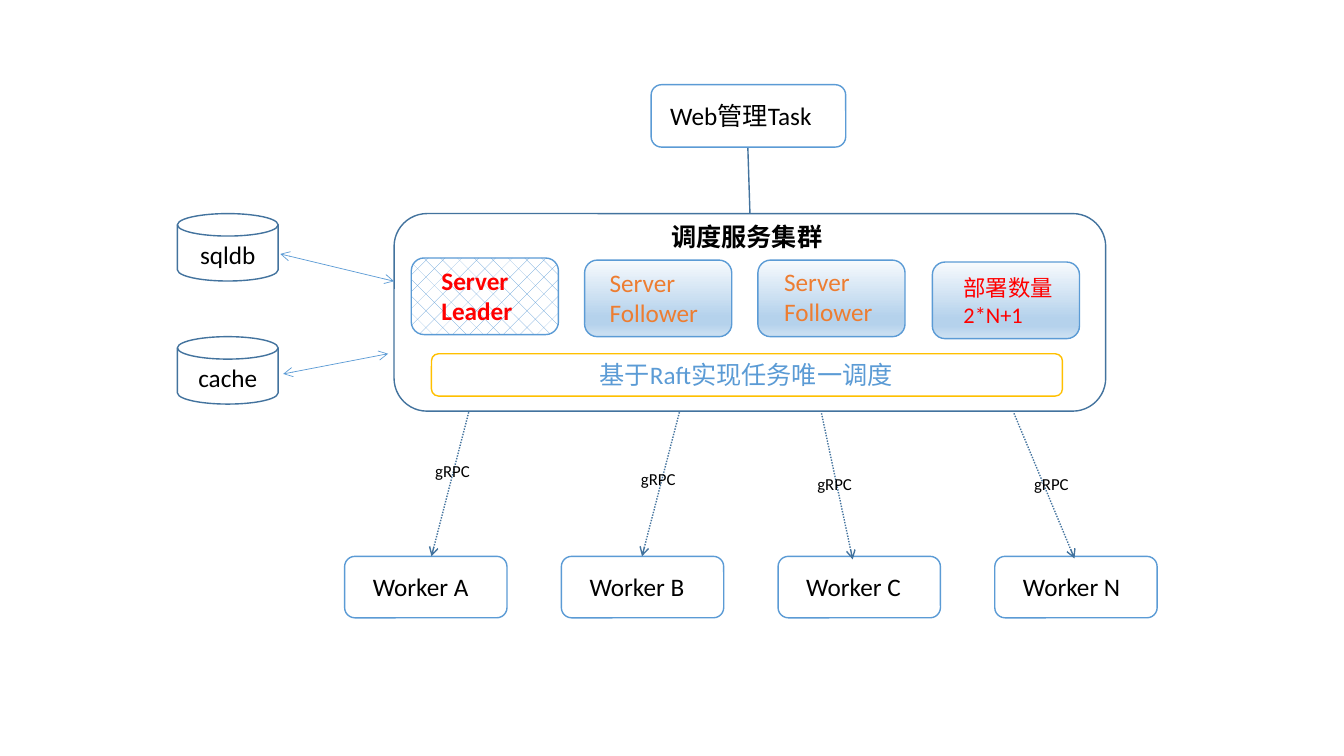
from lxml import etree
from pptx import Presentation
from pptx.dml.color import RGBColor
from pptx.enum.dml import MSO_LINE, MSO_PATTERN
from pptx.enum.shapes import MSO_CONNECTOR, MSO_SHAPE
from pptx.enum.text import PP_ALIGN
from pptx.oxml.ns import qn
from pptx.util import Pt

ROUNDED = MSO_SHAPE.ROUNDED_RECTANGLE
CYLINDER = MSO_SHAPE.FLOWCHART_MAGNETIC_DISK
STRAIGHT = MSO_CONNECTOR.STRAIGHT
DOTTED = MSO_LINE.ROUND_DOT
DIAMONDS = MSO_PATTERN.DOTTED_DIAMOND
CENTER = PP_ALIGN.CENTER

BLACK = RGBColor(0x00, 0x00, 0x00)
WHITE = RGBColor(0xFF, 0xFF, 0xFF)
RED = RGBColor(0xFF, 0x00, 0x00)
ORANGE = RGBColor(0xED, 0x7D, 0x31)
GOLD = RGBColor(0xFF, 0xC0, 0x00)
BLUE = RGBColor(0x5B, 0x9B, 0xD5)
DARK_BLUE = RGBColor(0x43, 0x73, 0x9E)
PALE_BLUE = RGBColor(0xF7, 0xFA, 0xFD)
MID_BLUE = RGBColor(0xB5, 0xD2, 0xEC)
SOFT_BLUE = RGBColor(0xCE, 0xE1, 0xF2)
SERVER_GRADIENT = [(0, PALE_BLUE), (74, MID_BLUE), (83, MID_BLUE), (100, SOFT_BLUE)]


class Diagram:
    """Holds the style and the slide being drawn; lengths are in points."""

    font = "Calibri"

    def __init__(self, slide):
        """Keep the slide that receives the elements."""
        self.slide = slide

    def outline(self, kind, left, top, width, height, color=BLUE):
        """Add an unfilled preset shape and return it."""
        shape = self.slide.shapes.add_shape(
            kind, Pt(left), Pt(top), Pt(width), Pt(height))
        shape.shadow.inherit = False
        shape.fill.background()
        shape.line.color.rgb = color
        shape.line.width = Pt(1)
        return shape

    def gradient(self, shape, stops):
        """Fill a shape from top to bottom with (percent, color) stops."""
        shape.fill.gradient()
        shape.fill.gradient_angle = 270
        stop_list = shape._element.spPr.find(qn("a:gradFill")).find(qn("a:gsLst"))
        for stop in list(stop_list):
            stop_list.remove(stop)
        for percent, color in stops:
            stop = etree.SubElement(stop_list, qn("a:gs"), pos=str(percent * 1000))
            etree.SubElement(stop, qn("a:srgbClr"), val=str(color))

    def hatch(self, shape):
        """Fill a shape with blue dotted diamonds on white."""
        shape.fill.patterned()
        shape.fill.pattern = DIAMONDS
        shape.fill.fore_color.rgb = BLUE
        shape.fill.back_color.rgb = WHITE

    def text(self, left, top, width, height, lines, size=18, color=BLACK,
             bold=False, align=None):
        """Add a text box with one paragraph per line."""
        box = self.slide.shapes.add_textbox(
            Pt(left), Pt(top), Pt(width), Pt(height))
        frame = box.text_frame
        frame.word_wrap = False
        for index, line in enumerate(lines):
            paragraph = frame.add_paragraph() if index else frame.paragraphs[0]
            paragraph.alignment = align
            run = paragraph.add_run()
            run.text = line
            run.font.name = self.font
            run.font.size = Pt(size)
            run.font.bold = bold
            run.font.color.rgb = color

    def line(self, start, end, color=DARK_BLUE, width=1, dash=None, arrows=()):
        """Add a straight line with arrowheads at the named ends."""
        connector = self.slide.shapes.add_connector(
            STRAIGHT, *[Pt(value) for value in (*start, *end)])
        connector.line.color.rgb = color
        connector.line.width = Pt(width)
        if dash:
            connector.line.dash_style = dash
        properties = connector._element.spPr
        for arrow in arrows:
            etree.SubElement(properties.find(qn("a:ln")), qn(arrow), type="arrow")
        etree.SubElement(properties, qn("a:effectLst"))


def draw_cluster(diagram):
    """Draw the scheduling cluster with its servers and the Raft banner."""
    diagram.outline(ROUNDED, 281.5, 152.6, 508.3, 141.1, DARK_BLUE)
    diagram.text(472.3, 154.8, 122.4, 28.8, ["调度服务集群"], bold=True)
    diagram.outline(ROUNDED, 308.2, 252.7, 450.7, 30.2, GOLD)
    diagram.text(421.2, 253.4, 232.6, 28.8, ["基于Raft实现任务唯一调度"], color=BLUE)

    follower = ["Server", "Follower"]
    servers = [
        (293.8, 184.3, 308.2, 185.8, ["Server", "Leader"], 18, RED, True),
        (417.6, 185.8, 428.4, 187.2, follower, 18, ORANGE, False),
        (541.4, 185.8, 553, 186.5, follower, 18, ORANGE, False),
        (666, 187.2, 681.1, 192.2, ["部署数量", "2*N+1"], 16, RED, False),
    ]
    for left, top, text_left, text_top, lines, size, color, leader in servers:
        server = diagram.outline(ROUNDED, left, top, 105.1, 54.7)
        if leader:
            diagram.hatch(server)
        else:
            diagram.gradient(server, SERVER_GRADIENT)
        diagram.text(text_left, text_top, 82.8, 51, lines, size, color, leader)


def draw_stores(diagram):
    """Draw the two data stores and their links to the cluster."""
    stores = [
        ("sqldb", 152.6, (200.2, 181.4), (281.5, 200.9)),
        ("cache", 240.5, (202.3, 267.1), (277.2, 252.7)),
    ]
    for name, top, start, end in stores:
        diagram.outline(CYLINDER, 126.7, top, 72, 48.2, DARK_BLUE)
        diagram.text(126.7, top + 15.1, 72, 28.8, [name], align=CENTER)
        diagram.line(start, end, BLUE, 0.5, arrows=("a:headEnd", "a:tailEnd"))


def draw_workers(diagram):
    """Draw the evenly spaced workers and the gRPC calls that reach them."""
    calls = [
        ("A", (334.8, 294.5), (308.2, 397.4), (303.8, 325.4)),
        ("B", (485.3, 294.5), (458.6, 397.4), (450.7, 331.2)),
        ("C", (586.8, 295.2), (609.1, 399.6), (576.7, 334.8)),
        ("N", (724.3, 295.2), (767.5, 398.9), (731.5, 334.8)),
    ]
    for index, (name, start, end, label) in enumerate(calls):
        left = 246.2 + 154.8 * index
        diagram.outline(ROUNDED, left, 397.4, 116, 43.9)
        diagram.text(left + 13, 404.6, 90, 28.8, [f"Worker {name}"])
        diagram.line(start, end, dash=DOTTED, arrows=("a:tailEnd",))
        diagram.text(*label, 54, 28.8, ["gRPC"], size=12)


def main():
    """Build the slide and save it."""
    presentation = Presentation()
    presentation.slide_width = Pt(960)
    presentation.slide_height = Pt(540)
    blank_layout = presentation.slide_layouts[6]
    diagram = Diagram(presentation.slides.add_slide(blank_layout))

    draw_cluster(diagram)
    draw_stores(diagram)
    diagram.outline(ROUNDED, 465.1, 60.5, 139, 44.6)
    diagram.text(471.6, 68.4, 126, 28.8, ["Web管理Task"])
    diagram.line((534.2, 105.8), (535.7, 152.6))
    draw_workers(diagram)
    presentation.save("out.pptx")


main()
